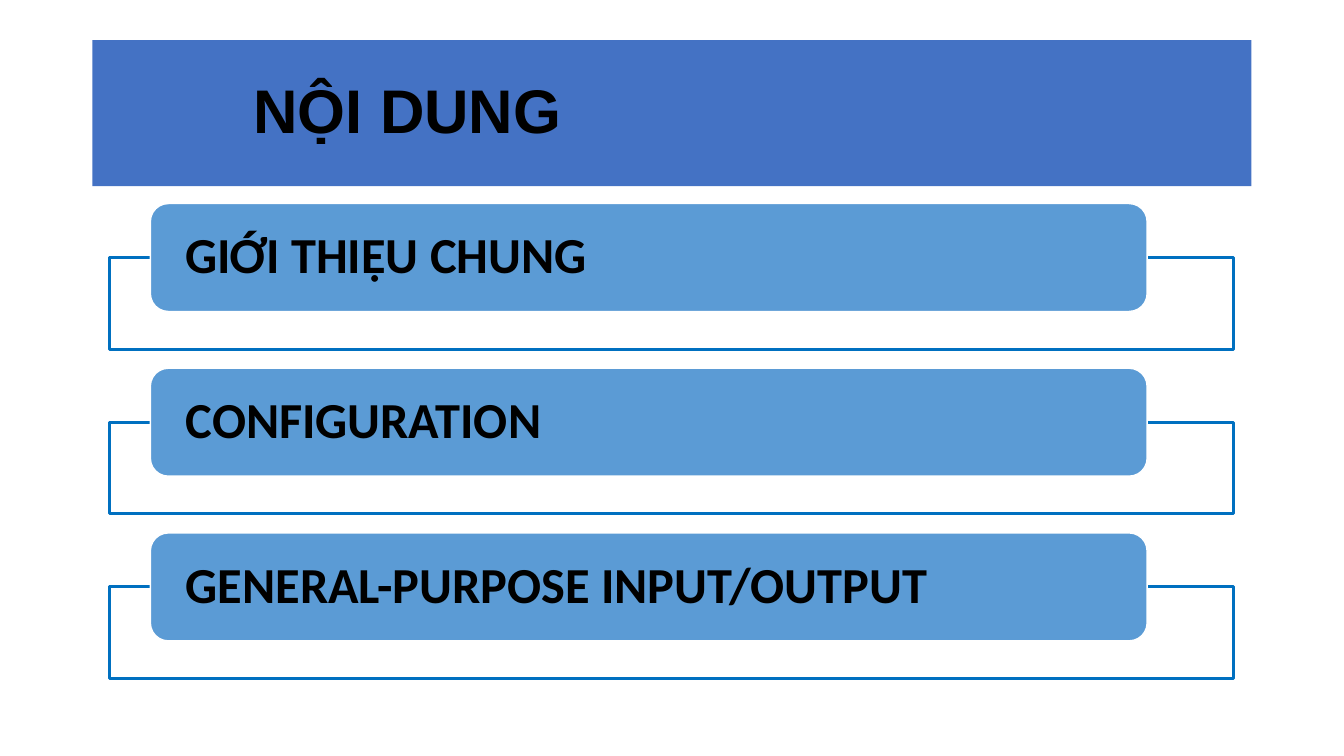
from dataclasses import dataclass

from pptx import Presentation
from pptx.dml.color import RGBColor
from pptx.enum.shapes import MSO_SHAPE
from pptx.enum.text import MSO_ANCHOR, PP_ALIGN
from pptx.util import Cm, Pt

RECTANGLE = MSO_SHAPE.RECTANGLE
ROUNDED = MSO_SHAPE.ROUNDED_RECTANGLE
MIDDLE = MSO_ANCHOR.MIDDLE
LEFT = PP_ALIGN.LEFT


@dataclass(frozen=True)
class Theme:
    """Colours, fonts and type sizes of the slide."""
    banner: RGBColor = RGBColor(0x44, 0x72, 0xC4)
    label: RGBColor = RGBColor(0x5B, 0x9B, 0xD5)
    frame: RGBColor = RGBColor(0x00, 0x70, 0xC0)
    edge: RGBColor = RGBColor(0xFF, 0xFF, 0xFF)
    text: RGBColor = RGBColor(0x00, 0x00, 0x00)
    title_font: str = "Arial"
    label_font: str = "Calibri"
    title_size: int = 44
    label_size: int = 36


THEME = Theme()
TITLE = "NỘI DUNG"
TOPICS = ["GIỚI THIỆU CHUNG", "CONFIGURATION", "GENERAL-PURPOSE INPUT/OUTPUT"]


def add_box(slide, kind, box, fill=None, line=None, line_width=1):
    """Add a preset shape at box (left, top, width, height in cm)."""
    shape = slide.shapes.add_shape(kind, *(Cm(length) for length in box))
    shape.shadow.inherit = False
    if fill is None:
        shape.fill.background()
    else:
        shape.fill.solid()
        shape.fill.fore_color.rgb = fill
    if line is None:
        shape.line.fill.background()
    else:
        shape.line.color.rgb = line
        shape.line.width = Pt(line_width)
    return shape


def write_text(shape, text, font_name, size, indent):
    """Write one bold, left-aligned line, indented by a length in cm."""
    frame = shape.text_frame
    frame.word_wrap = True
    frame.vertical_anchor = MIDDLE
    frame.margin_left = Cm(indent)
    frame.margin_top = frame.margin_bottom = 0
    paragraph = frame.paragraphs[0]
    paragraph.text = text
    paragraph.alignment = LEFT
    paragraph.line_spacing = 0.9
    paragraph.font.name = font_name
    paragraph.font.size = Pt(size)
    paragraph.font.bold = True
    paragraph.font.color.rgb = THEME.text


def add_banner(slide, box, title):
    """Add the title banner."""
    banner = add_box(slide, RECTANGLE, box, fill=THEME.banner)
    write_text(banner, title, THEME.title_font, THEME.title_size, indent=4.06)


def add_topic(slide, box, topic):
    """Add a rounded label over an open frame that starts at its middle."""
    left, top, width, height = box
    label_height = 2.72
    drop = label_height / 2
    add_box(slide, RECTANGLE, (left, top + drop, width, height - drop),
            line=THEME.frame, line_width=2.25)
    label = add_box(slide, ROUNDED, (left + 1.02, top, 25.12, label_height),
                    fill=THEME.label, line=THEME.edge)
    write_text(label, topic, THEME.label_font, THEME.label_size, indent=0.76)


def add_topic_list(slide, box, topics, gap):
    """Stack the topics in the box with equal gaps."""
    left, top, width, height = box
    row_height = (height - gap * (len(topics) - 1)) / len(topics)
    for index, topic in enumerate(topics):
        row_top = top + index * (row_height + gap)
        add_topic(slide, (left, row_top, width, row_height), topic)


def main():
    """Build and save the contents slide."""
    presentation = Presentation()
    presentation.slide_width = Cm(33.87)
    presentation.slide_height = Cm(19.05)
    slide = presentation.slides.add_slide(presentation.slide_layouts[6])
    add_banner(slide, (2.33, 1.01, 29.21, 3.68), TITLE)
    add_topic_list(slide, (2.77, 5.13, 28.32, 11.97), TOPICS, gap=0.48)
    presentation.save("out.pptx")


main()
